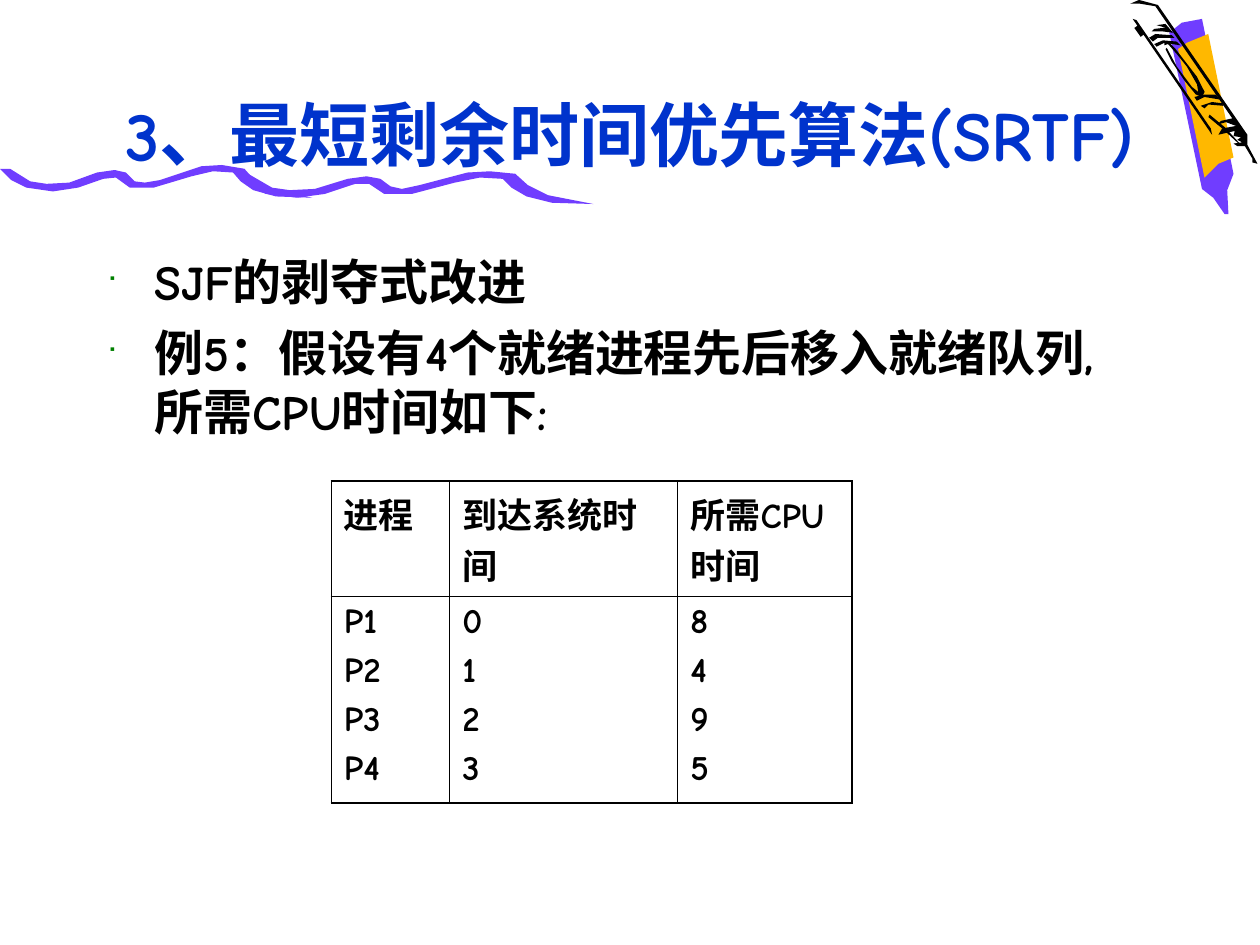
from lxml.etree import SubElement
from pptx import Presentation
from pptx.dml.color import RGBColor
from pptx.enum.shapes import MSO_CONNECTOR
from pptx.enum.text import MSO_ANCHOR, MSO_AUTO_SIZE, PP_ALIGN
from pptx.oxml.ns import qn
from pptx.util import Inches, Pt

COLORS = {"title": "0033CC", "ink": "000000", "bullet": "008000",
          "purple": "703DFF", "gold": "FFB800"}
FONT = "Comic Neue"
OUTER, INNER = 1.08, 0.45

TITLE = "3、最短剩余时间优先算法(SRTF)"
POINTS = ["SJF的剥夺式改进",
          "例5：假设有4个就绪进程先后移入就绪队列,所需CPU时间如下:"]
HEADERS = ["进程", "到达系统时间", "所需CPU时间"]
PROCESSES = [("P1", 0, 8), ("P2", 1, 4), ("P3", 2, 9), ("P4", 3, 5)]

PENCIL = [
    ("purple", [(9.28, .26), (9.54, 1.5), (9.63, 1.57), (9.72, 1.7), (9.75, 1.7),
                (9.74, 1.51), (9.79, 1.38), (9.54, .15), (9.38, .18)]),
    ("gold", [(9.56, 1.41), (9.67, 1.3), (9.79, 1.25), (9.59, .27), (9.42, .34),
              (9.35, .39)]),
]
WAVE = [
    ("purple", [(.08, 1.34), (.24, 1.44), (.37, 1.46), (.55, 1.45), (.77, 1.37),
                (.91, 1.35), (1, 1.37), (1.07, 1.44), (1.15, 1.45), (1.27, 1.43),
                (1.6, 1.32), (1.76, 1.31), (1.94, 1.34), (2.02, 1.43), (2.16, 1.5),
                (2.48, 1.57), (2.19, 1.56), (2.01, 1.51), (1.91, 1.44), (1.85, 1.37),
                (1.69, 1.36), (1.52, 1.4), (1.22, 1.49), (1.03, 1.49), (.92, 1.41),
                (.82, 1.42), (.62, 1.49), (.42, 1.52), (.21, 1.49), (.09, 1.43),
                (0, 1.34)]),
    ("purple", [(1.97, 1.38), (2.16, 1.49), (2.3, 1.51), (2.5, 1.5), (2.76, 1.42),
                (2.91, 1.4), (3.02, 1.42), (3.1, 1.48), (3.19, 1.5), (3.33, 1.47),
                (3.71, 1.37), (3.89, 1.36), (4.09, 1.38), (4.19, 1.47), (4.35, 1.55),
                (4.71, 1.62), (4.38, 1.61), (4.18, 1.56), (4.06, 1.49), (3.99, 1.42),
                (3.81, 1.41), (3.61, 1.45), (3.27, 1.54), (3.05, 1.54), (2.93, 1.46),
                (2.82, 1.46), (2.58, 1.54), (2.36, 1.57), (2.11, 1.54), (1.98, 1.47),
                (1.88, 1.39)]),
]
PENCIL_STROKES = [("ink", outline) for outline in (
    [(9.59, .93), (9.7, 1.02), (9.84, 1.15), (9.84, 1.14), (9.72, 1.01), (9.6, .91)],
    [(9.14, .25), (9.23, .25), (9.31, .26), (9.25, .19), (9.18, .2), (9.25, .22),
     (9.16, .23)],
    [(9.25, .39), (9.3, .49), (9.4, .64), (9.49, .75), (9.54, .77), (9.56, .73),
     (9.5, .61), (9.4, .48), (9.33, .39), (9.27, .33), (9.24, .33), (9.24, .36),
     (9.27, .35), (9.34, .43), (9.42, .53), (9.5, .67), (9.51, .73), (9.46, .69),
     (9.34, .53), (9.26, .38)],
    [(8.99, .15), (9.62, 1.07), (9.61, 1.02), (9.02, .16)],
    [(9.67, 1.07), (9.7, 1.02), (9.81, 1), (9.73, .97), (9.66, .99), (9.69, .96),
     (9.78, .94), (9.17, .05), (9.05, .03), (8.97, .03), (9.04, 0), (9.19, .04),
     (9.9, 1.07), (9.9, 1.15), (9.98, 1.3), (9.94, 1.29), (9.94, 1.26), (9.88, 1.16),
     (9.82, 1.16), (9.79, 1.14), (9.86, 1.13), (9.82, 1.11), (9.85, 1.09),
     (9.79, 1.08), (9.8, 1.04)],
    [(9.56, .86), (9.59, .83), (9.71, .84), (9.7, .82), (9.62, .81), (9.53, .84)],
    [(9.5, .8), (9.56, .77), (9.68, .79), (9.65, .75), (9.56, .75), (9.48, .77)],
    [(9.18, .37), (9.24, .34), (9.37, .36), (9.34, .33), (9.23, .32), (9.16, .35)],
    [(9.15, .33), (9.19, .3), (9.32, .3), (9.3, .28), (9.17, .27), (9.12, .3)],
)]


def rgb(name):
    return RGBColor.from_string(COLORS[name])


def set_font(paragraph, size, color="ink"):
    for attribute, value in {"name": FONT, "size": Pt(size), "bold": True}.items():
        setattr(paragraph.font, attribute, value)
    paragraph.font.color.rgb = rgb(color)


def place(shape, box):
    for attribute, length in zip(("left", "top", "width", "height"), box):
        setattr(shape, attribute, Inches(length))


def add_outlines(slide, outlines):
    for color, points in outlines:
        start, *rest = [(Inches(x), Inches(y)) for x, y in points]
        builder = slide.shapes.build_freeform(*start)
        builder.add_line_segments(rest, close=True)
        outline = builder.convert_to_shape()
        outline.shadow.inherit = False
        outline.fill.solid()
        outline.fill.fore_color.rgb = rgb(color)
        outline.line.fill.background()


def add_pencil_tick(slide, box):
    left, top, width, height = box
    tick = slide.shapes.add_connector(
        MSO_CONNECTOR.STRAIGHT, Inches(left), Inches(top),
        Inches(left + width), Inches(top + height))
    tick.line.color.rgb = rgb("ink")
    tick.line.width = Pt(3)
    SubElement(tick._element.spPr, qn("a:effectLst"))


def add_title(slide, box):
    title = slide.shapes.title
    place(title, box)
    frame = title.text_frame
    frame.text = TITLE
    for attribute, value in {"vertical_anchor": MSO_ANCHOR.BOTTOM, "word_wrap": True,
                             "auto_size": MSO_AUTO_SIZE.NONE}.items():
        setattr(frame, attribute, value)
    heading = frame.paragraphs[0]
    heading.alignment = PP_ALIGN.CENTER
    set_font(heading, 40, "title")


def add_bullet(paragraph):
    properties = paragraph._p.get_or_add_pPr()
    indent = Inches(0.38)
    properties.set("marL", str(indent))
    properties.set("indent", str(-indent))
    color = SubElement(properties, qn("a:buClr"))
    SubElement(color, qn("a:srgbClr"), val=COLORS["bullet"])
    SubElement(properties, qn("a:buSzPct"), val="50000")
    SubElement(properties, qn("a:buFont"), typeface="Wingdings")
    SubElement(properties, qn("a:buChar"), char="■")


def add_points(slide, box):
    frame = slide.shapes.add_textbox(*map(Inches, box)).text_frame
    frame.word_wrap = True
    frame.text = "\n".join(POINTS)
    for index, point in enumerate(frame.paragraphs):
        add_bullet(point)
        if index:
            point.space_before = Pt(7)
        set_font(point, 28)


def set_borders(cell, widths):
    """Draw the cell's left, right, top and bottom borders, in that order."""
    properties = cell._tc.get_or_add_tcPr()
    for position, (side, width) in enumerate(zip("LRTB", widths)):
        border = SubElement(properties, qn(f"a:ln{side}"), w=str(Pt(width)))
        fill = SubElement(border, qn("a:solidFill"))
        SubElement(fill, qn("a:srgbClr"), val=COLORS["ink"])
        properties.insert(position, border)


def add_process_table(slide, box):
    rows = [HEADERS, ["\n".join(map(str, column)) for column in zip(*PROCESSES)]]
    table = slide.shapes.add_table(len(rows), len(HEADERS), *map(Inches, box)).table
    table.first_row = table.horz_banding = False
    for column, width in zip(table.columns, (0.94, 1.81, 1.38)):
        column.width = Inches(width)
    for row, height in zip(table.rows, (0.91, 1.64)):
        row.height = Inches(height)
    last_row, last_column = len(rows) - 1, len(HEADERS) - 1
    for r, texts in enumerate(rows):
        for c, text in enumerate(texts):
            cell = table.cell(r, c)
            cell.text = text
            cell.fill.background()
            on_edge = (c == 0, c == last_column, r == 0, r == last_row)
            set_borders(cell, [OUTER if edge else INNER for edge in on_edge])
            for index, entry in enumerate(cell.text_frame.paragraphs):
                if index:
                    entry.space_before = Pt(5)
                set_font(entry, 20)


def main():
    deck = Presentation()
    deck.slide_width, deck.slide_height = Inches(10), Inches(7.5)
    slide = deck.slides.add_slide(deck.slide_layouts[5])
    add_outlines(slide, PENCIL + WAVE + PENCIL_STROKES)
    add_pencil_tick(slide, (9.02, 0.21, 0.05, 0.07))
    add_title(slide, (0.75, 0.52, 8.5, 0.92))
    # The heading overlaps the wave, so it goes in front of it.
    slide.shapes._spTree.append(slide.shapes.title._element)
    add_points(slide, (0.75, 1.95, 8.03, 4.55))
    add_process_table(slide, (2.63, 3.82, 4.13, 2.55))
    deck.save("out.pptx")


if __name__ == "__main__":
    main()
